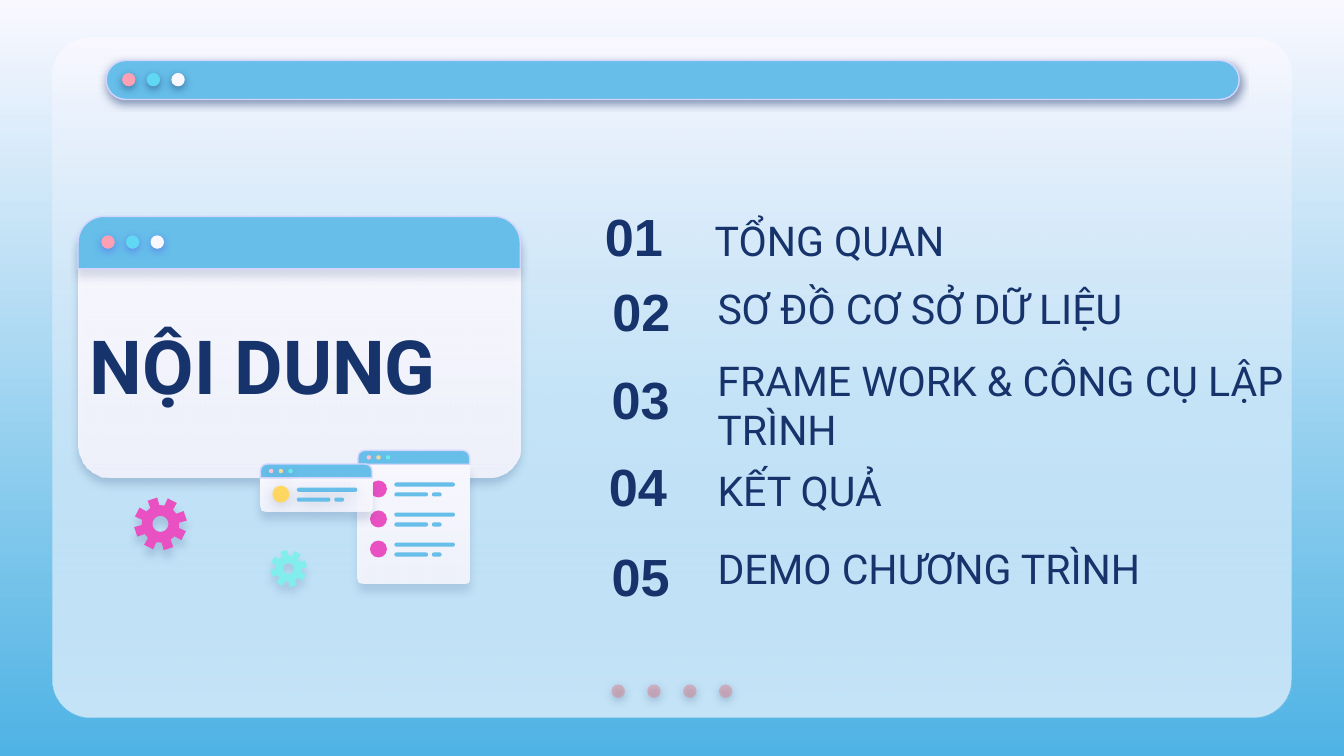
import math

import pptx
import pptx.dml.color
import pptx.enum.shapes
import pptx.enum.text
import pptx.oxml
import pptx.util
from lxml import etree

Pt = pptx.util.Pt
RGB = pptx.dml.color.RGBColor.from_string
MSO = pptx.enum.shapes.MSO_SHAPE
ALIGN = pptx.enum.text.PP_ALIGN
NS = "http://schemas.openxmlformats.org/drawingml/2006/main"

COLORS = {
    "white": "F9F8FF", "sky": "4EB3E4", "blue": "66BEE9", "navy": "17336B",
    "edge": "D2D6FF", "rose": "E27B83", "pink": "FDA0B4", "cyan": "60D8F4",
    "indigo": "5352EE", "blush": "FFC3D0", "sand": "F5D79B", "aqua": "6AEBE7",
    "magenta": "E951C2", "yellow": "FFD65F", "mint": "81EEEB",
}
GLASS = ("white", "white")


def style(sp, fill, alpha=None, line=None, shadow=None):
    """Fill is a colour name, or a pair for a vertical gradient; alpha (percent)
    applies to the last colour; shadow is (colour, alpha, blur, distance)."""
    if isinstance(fill, tuple):
        sp.fill.gradient()
        sp.fill.gradient_angle = 270
        for stop, name in zip(sp.fill.gradient_stops, fill):
            stop.color.rgb = RGB(COLORS[name])
    else:
        sp.fill.solid()
        sp.fill.fore_color.rgb = RGB(COLORS[fill])
    if alpha:
        clr = sp._element.spPr.xpath(".//a:srgbClr")[-1]
        etree.SubElement(clr, f"{{{NS}}}alpha", val=str(alpha * 1000))
    if line:
        sp.line.color.rgb = RGB(COLORS[line])
        sp.line.width = Pt(0.75)
    else:
        sp.line.fill.background()
    sp.shadow.inherit = False
    if shadow:
        name, opacity, blur, dist = shadow
        sp._element.spPr.xpath("a:effectLst")[0].append(pptx.oxml.parse_xml(
            f'<a:outerShdw xmlns:a="{NS}" blurRad="{Pt(blur)}" dist="{Pt(dist)}"'
            f' dir="5400000" algn="bl" rotWithShape="0"><a:srgbClr val="{COLORS[name]}">'
            f'<a:alpha val="{opacity * 1000}"/></a:srgbClr></a:outerShdw>'))


def add(kind, x, y, w, h, fill, adj=(), **look):
    sp = s.shapes.add_shape(kind, Pt(x), Pt(y), Pt(w), Pt(h))
    for i, value in enumerate(adj):
        sp.adjustments[i] = value
    style(sp, fill, **look)


prs = pptx.Presentation()
prs.slide_width, prs.slide_height = Pt(720), Pt(405)
s = prs.slides.add_slide(prs.slide_layouts[5])

# Background and panel
bg = s.background.fill
bg.gradient()
bg.gradient_angle = 270
for stop, name in zip(bg.gradient_stops, ("white", "sky")):
    stop.color.rgb = RGB(COLORS[name])
panel = (MSO.ROUNDED_RECTANGLE, 28.1, 20.2, 663.8, 364.3)
add(*panel, "white", adj=[0.056])
add(*panel, ("white", "blue"), adj=[0.056], alpha=35)

# Page dots, top bar and main window
soft = ("navy", 50, 4.5, 1.5)
for i in range(4):
    add(MSO.OVAL, 327.6 + 19.2 * i, 366.7, 7.2, 7.2, "rose", alpha=44, shadow=soft)
add(MSO.ROUNDED_RECTANGLE, 56.9, 32.4, 607, 20.9, "blue", adj=[0.5],
    line="edge", shadow=soft)
add(MSO.ROUNDED_RECTANGLE, 41.8, 115.9, 236.9, 139.7, GLASS, adj=[0.124],
    alpha=87, shadow=("navy", 22, 4.5, 3.8))
add(MSO.ROUND_2_SAME_RECTANGLE, 41.8, 115.9, 236.9, 28.1, "blue", adj=[0.5, 0],
    line="edge", shadow=("navy", 15, 4.5, 3.8))
for left, top, glow in [(65.4, 39.1, "navy"), (54.3, 126.1, "indigo")]:
    for i, name in enumerate(["pink", "cyan", "white"]):
        add(MSO.OVAL, left + 13.2 * i, top, 7.2, 7.2, name,
            shadow=(glow, 50, 4.5, 1.5))

# Small windows: left, top, body height, corner, first row, rows, bullet, shadows
small_windows = [
    (191.8, 241.3, 64, 0.06, 8.7, 3, "magenta", 15, None, None),
    (139.5, 248.6, 18, 0.2, 4.2, 1, "yellow", 16,
     ("navy", 17, 4.5, 2.2), ("navy", 18, 6.8, 1.5)),
]
for x, y, h, corner, first, rows, bullet, opacity, dot_shadow, row_shadow in small_windows:
    body = y + 7.4
    add(MSO.ROUND_2_SAME_RECTANGLE, x, body, 59.8, h, GLASS, adj=[0, corner],
        alpha=87, shadow=("navy", opacity, 4.5, 4.5))
    add(MSO.ROUND_2_SAME_RECTANGLE, x, y, 59.8, 7.4, "blue", adj=[0.49, 0], line="edge")
    for i, name in enumerate(["blush", "sand", "aqua"]):
        add(MSO.OVAL, x + 4.6 + 5.2 * i, y + 2.6, 2.3, 2.3, name, shadow=dot_shadow)
    for i in range(rows):
        row = body + first + 16.1 * i
        add(MSO.OVAL, x + 6.4, row, 9.1, 9.1, bullet, shadow=row_shadow)
        for dx, dy, w in [(19.5, 1.1, 32.4), (19.5, 6.4, 18), (39.6, 6.4, 5.2)]:
            add(MSO.ROUNDED_RECTANGLE, x + dx, row + dy, w, 2.2, "blue",
                adj=[0.5], shadow=row_shadow)

# Gears: eight teeth and a round hole
for cx, cy, radius, tilt, name, shadow in [
    (86, 280.7, 14.2, -108, "magenta", ("navy", 16, 4.5, 4.5)),
    (154.6, 304.6, 9.9, -105, "mint", ("navy", 15, 4.5, 3.8)),
]:
    teeth = [(0.71, -14.5), (1, -11), (1, 11), (0.71, 14.5)]
    outline = [(ratio, tilt + 45 * i + turn) for i in range(8) for ratio, turn in teeth]
    hole = [(0.3, 15 * i) for i in range(24)]
    rim, bore = [
        [(Pt(cx + radius * ratio * math.cos(math.radians(a))),
          Pt(cy + radius * ratio * math.sin(math.radians(a)))) for ratio, a in ring]
        for ring in (outline, hole)
    ]
    fb = s.shapes.build_freeform(*rim[0], scale=1.0)
    fb.add_line_segments(rim[1:], close=True)
    fb.move_to(*bore[0])
    fb.add_line_segments(bore[1:], close=True)
    style(fb.convert_to_shape(), name, shadow=shadow)

# Title, numbers and entries
title = s.shapes.title
s.shapes._spTree.append(title._element)
number = {"name": "Arial", "size": Pt(28), "bold": True}
entry = {"name": "Roboto", "size": Pt(22), "bold": False}
heading = {"name": "Roboto", "size": Pt(40), "bold": True}
texts = [(title, "NỘI DUNG", 41, 153.4, 266.4, 83.5, 7.2, ALIGN.LEFT, heading)]
# Entry, number left and top, entry left and top, entry width, right inset
entries = [
    ("TỔNG QUAN", 284.4, 92.2, 375.8, 114.5, 342, 0),
    ("SƠ ĐỒ CƠ SỞ DỮ LIỆU", 288.4, 132.5, 377.3, 150.5, 342, 7.2),
    ("FRAME WORK & CÔNG CỤ LẬP TRÌNH", 288, 179.3, 377.3, 202.3, 319.7, 3.6),
    ("KẾT QUẢ", 286.6, 226.1, 377.3, 248.4, 342, 7.2),
    ("DEMO CHƯƠNG TRÌNH", 288, 274.3, 377.3, 290.2, 342, 7.2),
]
for i, (label, nx, ny, x, y, w, inset) in enumerate(entries, 1):
    texts.append((None, f"{i:02}", nx, ny, 77.8, 68, 7.2, ALIGN.RIGHT, number))
    texts.append((None, label, x, y, w, 28.8, inset, ALIGN.LEFT, entry))
for sp, text, x, y, w, h, inset, align, font in texts:
    sp = sp or s.shapes.add_textbox(0, 0, 0, 0)
    sp.left, sp.top, sp.width, sp.height = Pt(x), Pt(y), Pt(w), Pt(h)
    tf = sp.text_frame
    frame = {
        "word_wrap": True, "auto_size": pptx.enum.text.MSO_AUTO_SIZE.NONE,
        "vertical_anchor": pptx.enum.text.MSO_ANCHOR.MIDDLE,
        "margin_left": Pt(7.2), "margin_right": Pt(inset),
        "margin_top": Pt(7.2), "margin_bottom": Pt(7.2),
    }
    for key, value in frame.items():
        setattr(tf, key, value)
    p = tf.paragraphs[0]
    p.alignment = align
    r = p.add_run()
    r.text = text
    for key, value in font.items():
        setattr(r.font, key, value)
    r.font.color.rgb = RGB(COLORS["navy"])

prs.save("out.pptx")
